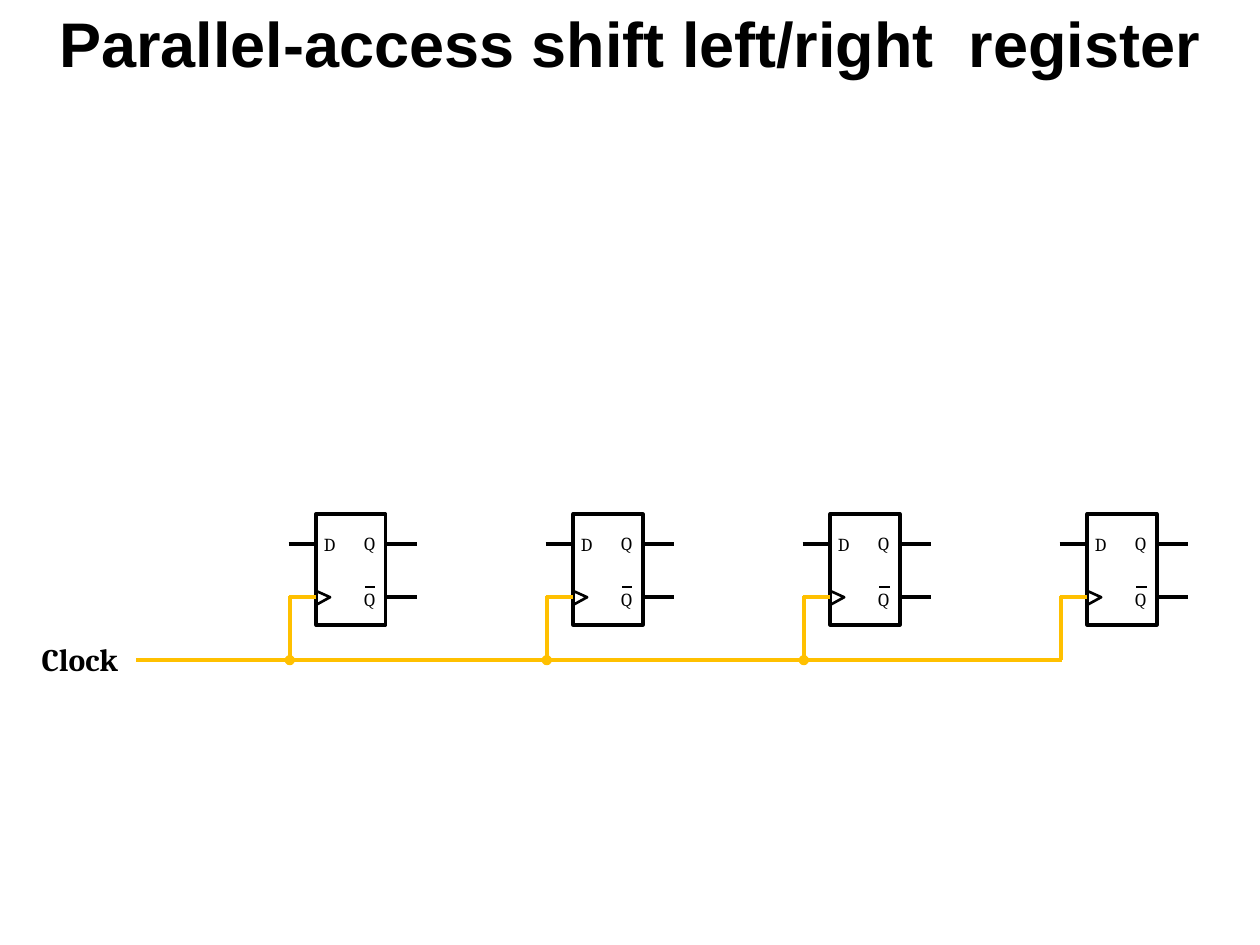
"""Build the slide showing a four-stage shift register on a shared clock."""
import dataclasses
import typing

import pptx
import pptx.dml.color
import pptx.enum.shapes
import pptx.enum.text
import pptx.oxml.ns
import pptx.util
from lxml import etree

Inches = pptx.util.Inches
Pt = pptx.util.Pt
RGBColor = pptx.dml.color.RGBColor
MSO_SHAPE = pptx.enum.shapes.MSO_SHAPE

BLACK = RGBColor(0x00, 0x00, 0x00)
WHITE = RGBColor(0xFF, 0xFF, 0xFF)
CLOCK_GOLD = RGBColor(0xFF, 0xC0, 0x00)

STAGE_COUNT = 4
FIRST_STAGE_LEFT = 2.51
STAGE_PITCH = 2.04
STAGE_TOP = 4.08
STAGE_WIDTH = 0.55
STAGE_HEIGHT = 0.88
LEAD_IN = 0.22
DATA_Y = 4.32
CLOCK_PIN_Y = 4.74
CLOCK_BUS_Y = 5.24
JUNCTION_SIZE = 0.06


@dataclasses.dataclass(frozen=True)
class Wire:
    """A straight wire, with x measured from the left of its stage."""

    x1: float
    x2: float
    y: float
    color: RGBColor = BLACK
    weight: float = 2.25


@dataclasses.dataclass(frozen=True)
class PinLabel:
    """A pin name, with x measured from the left of its stage."""

    name: str
    x: float
    y: float


OUTPUT_WIRES = [Wire(0.55, 0.8, DATA_Y), Wire(0.55, 0.8, CLOCK_PIN_Y)]
INNER_WIRES = [
    Wire(0.39, 0.47, 4.66, weight=1.5),
    Wire(-LEAD_IN, 0, CLOCK_PIN_Y, CLOCK_GOLD),
    Wire(-LEAD_IN, 0, DATA_Y),
]
PIN_LABELS = [PinLabel("D", 0.06, 4.23), PinLabel("Q", 0.38, 4.22), PinLabel("Q", 0.38, 4.67)]


def draw_line(
    shapes: typing.Any, start: tuple[float, float], end: tuple[float, float],
    color: RGBColor, weight: float = 2.25,
) -> None:
    """Draw a shadowless straight line."""
    line = shapes.add_connector(
        pptx.enum.shapes.MSO_CONNECTOR.STRAIGHT, *map(Inches, (*start, *end))
    )
    line.line.color.rgb = color
    line.line.width = Pt(weight)
    etree.SubElement(line._element.spPr, pptx.oxml.ns.qn("a:effectLst"))


def draw_wire(shapes: typing.Any, wire: Wire, left: float) -> None:
    """Draw a wire belonging to the stage at the given left."""
    draw_line(shapes, (left + wire.x1, wire.y), (left + wire.x2, wire.y), wire.color, wire.weight)


def draw_solid(
    shapes: typing.Any, kind: MSO_SHAPE, box: tuple[float, float, float, float],
    fill: RGBColor, outline: RGBColor, weight: float,
) -> None:
    """Draw a filled preset shape."""
    solid = shapes.add_shape(kind, *map(Inches, box))
    solid.shadow.inherit = False
    solid.fill.solid()
    solid.fill.fore_color.rgb = fill
    solid.line.color.rgb = outline
    solid.line.width = Pt(weight)


def draw_label(
    shapes: typing.Any, text: str, box: tuple[float, float, float, float],
    size: float, bold: bool = False,
) -> None:
    """Draw a tight text label."""
    frame = shapes.add_textbox(*map(Inches, box)).text_frame
    frame.margin_left = frame.margin_right = frame.margin_top = frame.margin_bottom = 0
    frame.word_wrap = False
    frame.auto_size = pptx.enum.text.MSO_AUTO_SIZE.SHAPE_TO_FIT_TEXT
    frame.text = text
    format_text(frame, "Cambria", size, bold)


def format_text(frame: typing.Any, font_name: str, size: float, bold: bool) -> None:
    """Format the single run of a text frame."""
    font = frame.paragraphs[0].runs[0].font
    font.name = font_name
    font.size = Pt(size)
    font.bold = bold
    font.color.rgb = BLACK


def draw_clock_notch(shapes: typing.Any, left: float) -> None:
    """Draw the open triangle marking a clock input."""
    builder = shapes.build_freeform(Inches(left), Inches(4.8))
    builder.add_line_segments(
        [(Inches(left + 0.11), Inches(CLOCK_PIN_Y)), (Inches(left), Inches(4.69))], close=False
    )
    notch = builder.convert_to_shape()
    notch.shadow.inherit = False
    notch.fill.background()
    notch.line.color.rgb = BLACK
    notch.line.width = Pt(1.5)


def draw_flip_flop(slide_shapes: typing.Any, left: float) -> None:
    """Draw one grouped D flip-flop."""
    shapes = slide_shapes.add_group_shape().shapes
    for wire in OUTPUT_WIRES:
        draw_wire(shapes, wire, left)
    body = (left, STAGE_TOP, STAGE_WIDTH, STAGE_HEIGHT)
    draw_solid(shapes, MSO_SHAPE.RECTANGLE, body, WHITE, BLACK, 2.25)
    for pin in PIN_LABELS:
        draw_label(shapes, pin.name, (left + pin.x, pin.y, 0.14, 0.18), 10.5)
    draw_clock_notch(shapes, left)
    for wire in INNER_WIRES:
        draw_wire(shapes, wire, left)


def draw_clock(shapes: typing.Any, stage_lefts: list[float]) -> None:
    """Draw the clock bus, its branches and their junctions."""
    draw_label(shapes, "Clock", (0.33, 5.08, 0.67, 0.3), 18, bold=True)
    draw_line(shapes, (1.08, CLOCK_BUS_Y), (8.43, CLOCK_BUS_Y), CLOCK_GOLD)
    for left in stage_lefts:
        branch_x = left - LEAD_IN + 0.01
        draw_line(shapes, (branch_x, 4.73), (branch_x, CLOCK_BUS_Y), CLOCK_GOLD)
        if left != stage_lefts[-1]:
            corner = (branch_x - JUNCTION_SIZE / 2, CLOCK_BUS_Y - JUNCTION_SIZE / 2)
            dot = (*corner, JUNCTION_SIZE, JUNCTION_SIZE)
            draw_solid(shapes, MSO_SHAPE.OVAL, dot, CLOCK_GOLD, CLOCK_GOLD, 1.5)


def main() -> None:
    """Build and save the presentation."""
    deck = pptx.Presentation()
    deck.slide_width, deck.slide_height = Inches(10), Inches(7.5)
    slide = deck.slides.add_slide(deck.slide_layouts[5])

    heading = slide.shapes.title
    heading.left, heading.top = Inches(0), Inches(0)
    heading.width, heading.height = Inches(10), Inches(0.67)
    heading.text_frame.text = "Parallel-access shift left/right  register"
    heading.text_frame.auto_size = pptx.enum.text.MSO_AUTO_SIZE.NONE
    heading.text_frame.paragraphs[0].alignment = pptx.enum.text.PP_ALIGN.CENTER
    format_text(heading.text_frame, "Arial", 36, True)

    stage_lefts = [FIRST_STAGE_LEFT + STAGE_PITCH * stage for stage in range(STAGE_COUNT)]
    draw_clock(slide.shapes, stage_lefts)
    for left in stage_lefts:
        draw_flip_flop(slide.shapes, left)
    deck.save("out.pptx")


if __name__ == "__main__":
    main()
